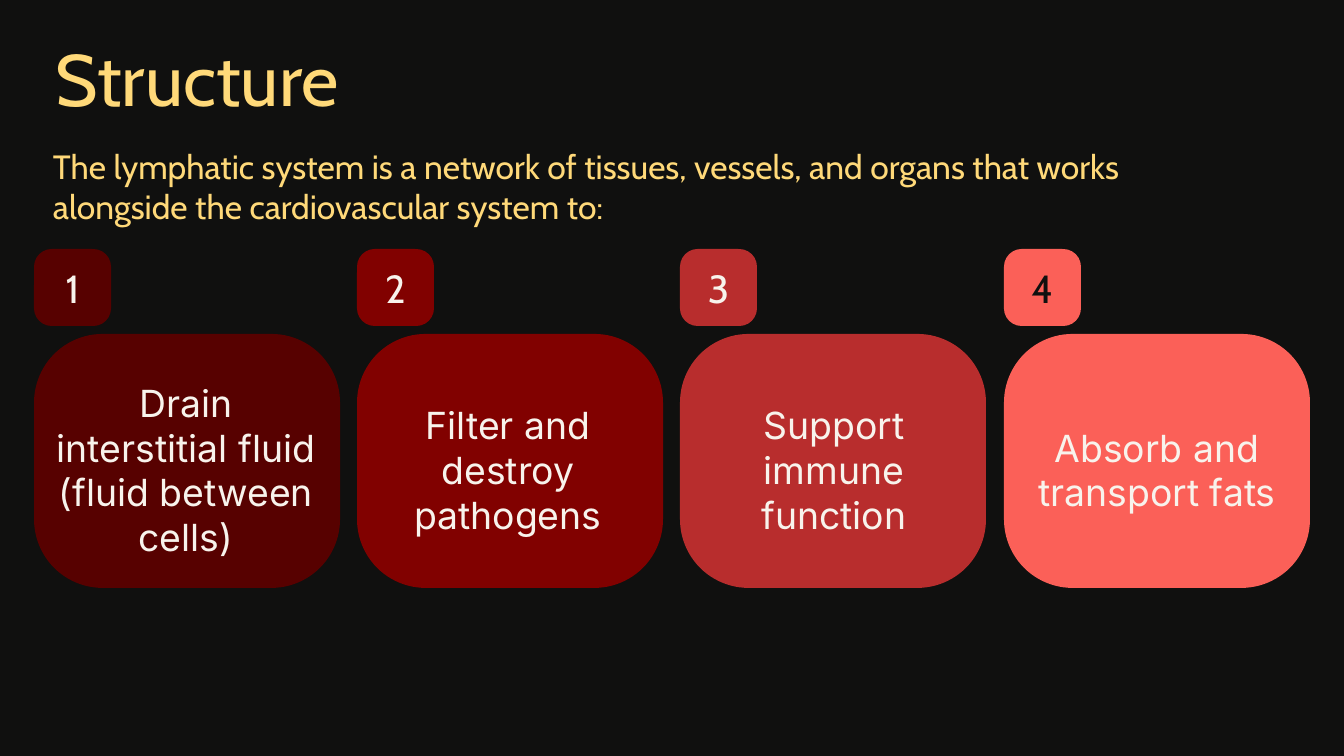
from pptx import Presentation
from pptx.dml.color import RGBColor as RGB
from pptx.enum.shapes import MSO_SHAPE as Kind
from pptx.enum.text import MSO_ANCHOR as Anchor, PP_ALIGN as Align
from pptx.util import Emu, Pt

SCALE = 914400 / 134.4  # EMU in one px
HUES = {
    "back": "10100F", "gold": "FFD979", "cream": "F8F3EC",
    "maroon": "570100", "wine": "810100", "brick": "B82D2D", "coral": "FB6058",
}


def px(n):
    return Emu(round(n * SCALE))


def write(shape, text, size, font="Cabin", hue="cream", align=Align.CENTER,
          anchor=Anchor.MIDDLE, pads=(13, 13, 13, 13)):
    frame = shape.text_frame
    frame.word_wrap = True
    frame.vertical_anchor = anchor
    (frame.margin_left, frame.margin_top,
     frame.margin_right, frame.margin_bottom) = map(px, pads)
    para = frame.paragraphs[0]
    para.alignment = align
    run = para.add_run()
    run.text = text
    run.font.name = font
    run.font.size = Pt(size)
    run.font.color.rgb = RGB.from_string(HUES[hue])


class Deck:
    def __init__(self, wide, high):
        self.file = Presentation()
        self.file.slide_width, self.file.slide_height = px(wide), px(high)
        self.slide = self.file.slides.add_slide(self.file.slide_layouts[6])
        fill = self.slide.background.fill
        fill.solid()
        fill.fore_color.rgb = RGB.from_string(HUES["back"])

    def panel(self, box, hue, curve):
        shape = self.slide.shapes.add_shape(Kind.ROUNDED_RECTANGLE, *map(px, box))
        shape.adjustments[0] = curve
        shape.shadow.inherit = False
        shape.fill.solid()
        shape.fill.fore_color.rgb = RGB.from_string(HUES[hue])
        shape.line.fill.background()
        return shape

    def label(self, box, text, size, **form):
        write(self.slide.shapes.add_textbox(*map(px, box)), text, size, **form)


def main():
    deck = Deck(1344, 756)

    # Heading and intro
    head = dict(hue="gold", align=Align.LEFT, anchor=Anchor.TOP)
    deck.label((56, 34, 953, 89), "Structure", 39, pads=(0, 0, 0, 0), **head)
    deck.label((40, 133, 1159, 46),
               "The lymphatic system is a network of tissues, vessels, and organs "
               "that works alongside the cardiovascular system to:", 18, **head)

    # Numbered cards: fill, number colour, text left and width, text
    cards = [
        ("maroon", "cream", 56, 273, "Drain interstitial fluid (fluid between cells)"),
        ("wine", "cream", 378, 273, "Filter and destroy pathogens"),
        ("brick", "cream", 707, 267, "Support immune function"),
        ("coral", "back", 1030, 267, "Absorb and transport fats"),
    ]
    for i, (hue, ink, left, wide, text) in enumerate(cards):
        x = 34 + i * 970 // 3
        deck.panel((x, 334, 306, 254), hue, 0.27)
        badge = deck.panel((x, 249, 77, 77), hue, 0.23)
        write(badge, str(i + 1), 21, hue=ink)
        deck.label((left, 400, wide, 152), text, 20, font="Inter", pads=(0, 0, 13, 13))

    deck.file.save("out.pptx")


if __name__ == "__main__":
    main()
